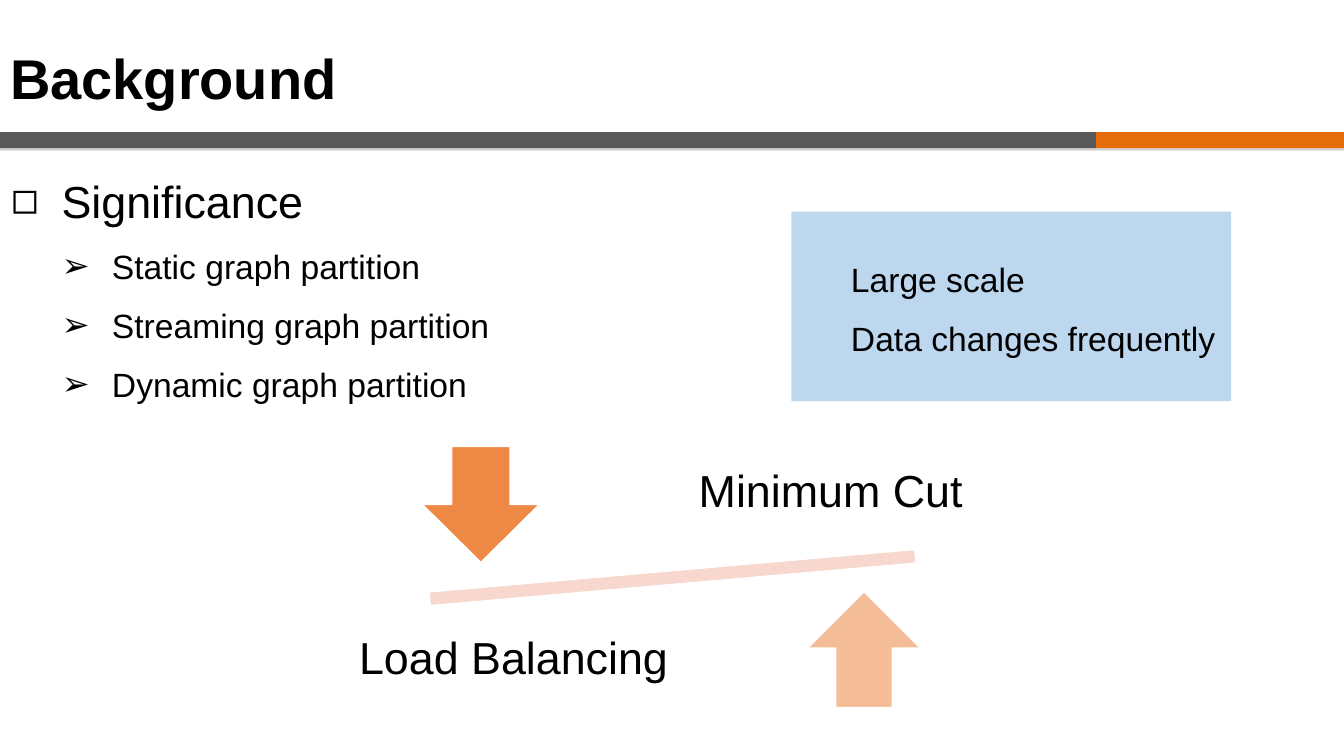
"""Build the Background slide: partition types weighed between load balancing and minimum cut."""
from dataclasses import dataclass

from lxml.etree import SubElement
from pptx import Presentation
from pptx.dml.color import RGBColor as Rgb
from pptx.enum.shapes import MSO_SHAPE as Kind
from pptx.enum.text import MSO_ANCHOR as Anchor, MSO_AUTO_SIZE as Auto, PP_ALIGN as Align
from pptx.oxml.ns import qn
from pptx.util import Inches, Pt


@dataclass(frozen=True)
class Theme:
    font: str = "Arial"
    ink: str = "000000"
    white: str = "FFFFFF"
    grey: str = "595959"
    flame: str = "E46C0A"
    arrow: str = "ED7D31"
    beam: str = "F8D7CE"
    sky: str = "BDD7EE"
    shade: str = "808080"
    title: int = 40
    head: int = 32
    item: int = 24
    gap: float = 13.4


@dataclass(frozen=True)
class Area:
    """Hold a place as percentages of the slide's width and height."""
    left: float
    top: float
    wide: float
    high: float


@dataclass(frozen=True)
class Form:
    kind: Kind
    area: Area
    fill: str
    line: str = ""
    alpha: int = 100
    turn: int = 0
    shade: bool = False


@dataclass(frozen=True)
class Label:
    text: str
    area: Area


@dataclass(frozen=True)
class Point:
    text: str
    size: int
    level: int
    mark: str


THEME = Theme()
WIDE, HIGH = Inches(13.33), Inches(7.5)
TITLE = Label("Background", Area(0, 3.47, 53.34, 13.47))
BODY = Area(0.08, 22.27, 97.15, 30.8)
POINTS = [Point("Significance", THEME.head, 0, "◻")] + [
    Point(f"{way} graph partition", THEME.item, 1, "➢")
    for way in ("Static", "Streaming", "Dynamic")
]
FORMS = [
    Form(Kind.RECTANGLE, Area(0, 17.47, 81.55, 2.13), THEME.grey, shade=True),
    Form(Kind.RECTANGLE, Area(81.55, 17.47, 18.45, 2.13), THEME.flame, shade=True),
    Form(Kind.MATH_MINUS, Area(25.36, 72.53, 49.36, 7.73), THEME.beam, THEME.white, turn=355),
    Form(Kind.DOWN_ARROW, Area(31.43, 59.07, 8.7, 15.33), THEME.arrow, THEME.white, 90),
    Form(Kind.UP_ARROW, Area(60.09, 78.27, 8.4, 15.33), THEME.arrow, THEME.white, 50),
]
LABELS = [
    Label("Minimum Cut", Area(48.09, 57.2, 27.46, 16)),
    Label("Load Balancing", Area(24.76, 79.33, 26.93, 16)),
]
NOTE = Form(Kind.RECTANGLE, Area(58.89, 28, 32.71, 25.07), THEME.sky)
FACTS = ("Large scale", "Data changes frequently")


def spot(area: Area) -> tuple[int, int, int, int]:
    """Turn shares into slide lengths."""
    return (int(WIDE * area.left / 100), int(HIGH * area.top / 100),
            int(WIDE * area.wide / 100), int(HIGH * area.high / 100))


def move(shape, area: Area) -> None:
    """Place a shape on the slide."""
    shape.left, shape.top, shape.width, shape.height = spot(area)


def style(para, size: int, bold: bool = False) -> None:
    """Give a paragraph its type."""
    font = para.font
    font.name, font.size, font.bold = THEME.font, Pt(size), bold
    font.color.rgb = Rgb.from_string(THEME.ink)


def fade(tint, alpha: int) -> None:
    """Set the opacity of a colour element."""
    SubElement(tint, qn("a:alpha")).set("val", str(alpha * 1000))


def draw(slide, form: Form):
    """Draw one preset shape."""
    shape = slide.shapes.add_shape(form.kind, *spot(form.area))
    shape.rotation = form.turn
    shape.shadow.inherit = False
    shape.fill.solid()
    shape.fill.fore_color.rgb = Rgb.from_string(form.fill)
    props = shape._element.spPr
    if form.alpha < 100:
        fade(props.find(qn("a:solidFill"))[0], form.alpha)
    if form.line:
        shape.line.color.rgb = Rgb.from_string(form.line)
        shape.line.width = Pt(1)
    else:
        shape.line.fill.background()
    if form.shade:
        cast = SubElement(props.find(qn("a:effectLst")), qn("a:outerShdw"),
                          dist=str(Pt(1.8)), dir="5400000", rotWithShape="0")
        tint = SubElement(cast, qn("a:srgbClr"), val=THEME.shade)
        fade(tint, 34)
    return shape


def write(slide, label: Label) -> None:
    """Write one centred label."""
    frame = slide.shapes.add_textbox(*spot(label.area)).text_frame
    frame.word_wrap = True
    frame.vertical_anchor = Anchor.MIDDLE
    frame.margin_left = frame.margin_right = Inches(0.25)
    para = frame.paragraphs[0]
    para.text, para.alignment, para.line_spacing = label.text, Align.CENTER, 0.9
    style(para, THEME.head)


def fill_title(slide) -> None:
    """Set the slide's title."""
    shape = slide.shapes.title
    move(shape, TITLE.area)
    frame = shape.text_frame
    frame.auto_size, frame.vertical_anchor = Auto.NONE, Anchor.MIDDLE
    para = frame.paragraphs[0]
    para.text, para.alignment = TITLE.text, Align.LEFT
    style(para, THEME.title, True)


def fill_body(slide) -> None:
    """Set the bulleted list."""
    shape = slide.placeholders[1]
    move(shape, BODY)
    frame = shape.text_frame
    frame.auto_size, frame.vertical_anchor = Auto.NONE, Anchor.TOP
    for rank, point in enumerate(POINTS):
        para = frame.add_paragraph() if rank else frame.paragraphs[0]
        para.text, para.level = point.text, point.level
        para.space_before = Pt(THEME.gap if rank else 0)
        props = para._p.get_or_add_pPr()
        props.set("marL", str(Inches(0.5 * (point.level + 1))))
        props.set("indent", str(Inches(-0.5)))
        SubElement(props, qn("a:buChar")).set("char", point.mark)
        style(para, point.size)


def fill_note(slide) -> None:
    """Draw the panel of facts."""
    frame = draw(slide, NOTE).text_frame
    frame.word_wrap, frame.vertical_anchor = True, Anchor.TOP
    frame.margin_left, frame.margin_top = Inches(0.59), Inches(0.47)
    for rank, fact in enumerate(FACTS):
        para = frame.add_paragraph() if rank else frame.paragraphs[0]
        para.text, para.alignment = fact, Align.LEFT
        para.space_before = Pt(THEME.gap if rank else 0)
        style(para, THEME.item)


def main() -> None:
    """Build and save the deck."""
    deck = Presentation()
    deck.slide_width, deck.slide_height = WIDE, HIGH
    slide = deck.slides.add_slide(deck.slide_layouts[1])
    fill_title(slide)
    fill_body(slide)
    for form in FORMS:
        draw(slide, form)
    for label in LABELS:
        write(slide, label)
    fill_note(slide)
    deck.save("out.pptx")


if __name__ == "__main__":
    main()
